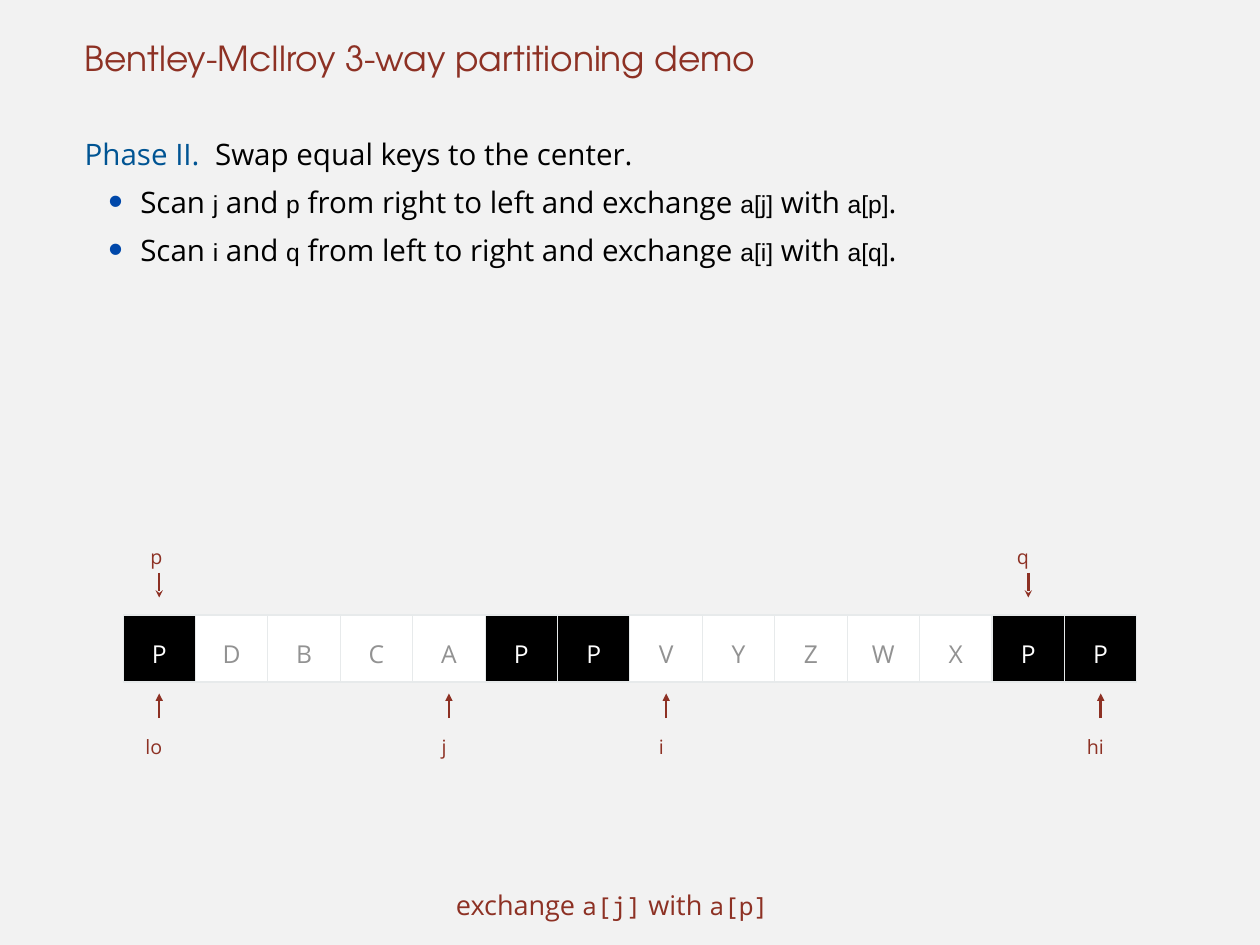
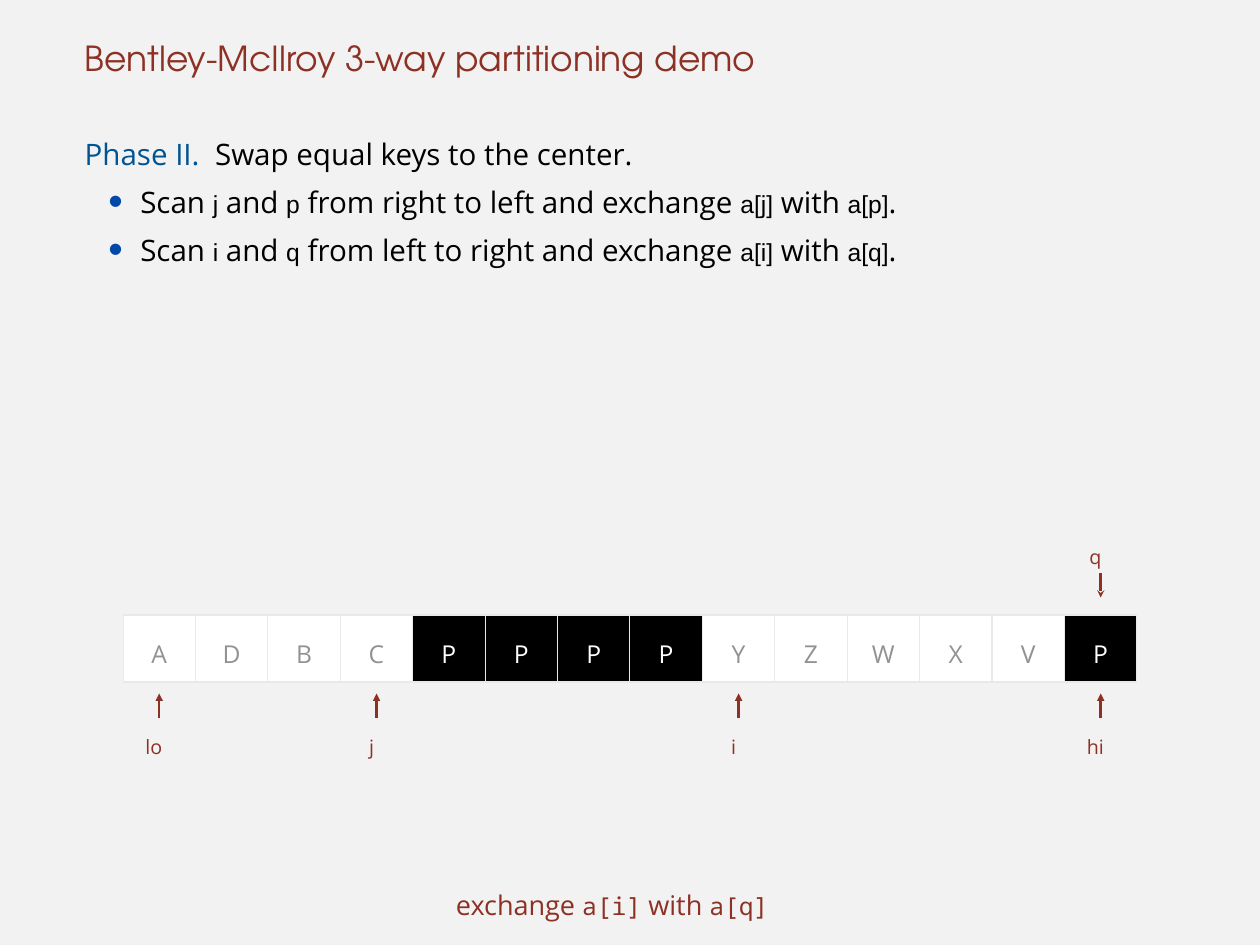
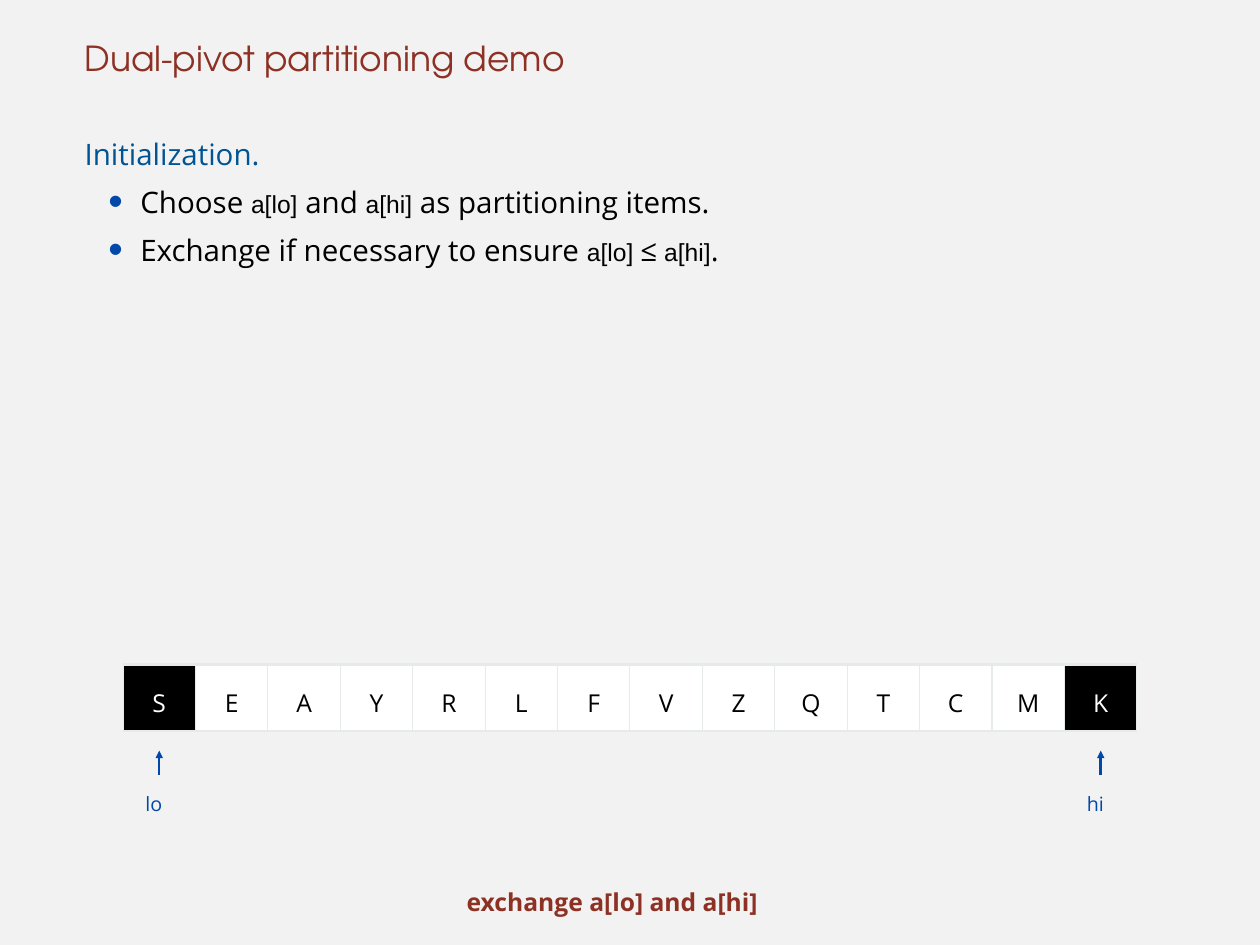
import pptx
import pptx.dml.color
import pptx.enum.shapes
import pptx.enum.text
import pptx.oxml.ns
import pptx.util
from lxml import etree

# The slide is a grid of 128 columns by 96 rows, each 8 pt wide and high.
COLUMNS, ROWS = 128, 96
MARGIN, CONTENT_WIDTH = 8, 112
INDENT = 0.6

BACKGROUND, RULE = "F2F2F2", "E7EAEB"
BLACK, WHITE, GREY = "000000", "FFFFFF", "929292"
RED, BLUE, LEAD_BLUE = "8D3124", "0048AA", "005493"
SANS, CODE, MONO, DISPLAY = "Open Sans", "Arial", "Noto Sans Mono", "TeX Gyre Adventor"

ARRAY_LEFT, ARRAY_WIDTH, ARRAY_HEIGHT = 12.5, 103, 6.75
ARROW_LENGTH = 2.5
LABEL_SHIFT = {"lo": 2, "hi": 2, "i": 1.35, "j": 1.35, "p": 1.5, "q": 1.75}


def grid(*steps):
    return [pptx.util.Pt(8 * step) for step in steps]


def color(value):
    return pptx.dml.color.RGBColor.from_string(value)


def add_xml(parent, tag, **attributes):
    values = {key: str(value) for key, value in attributes.items()}
    return etree.SubElement(parent, pptx.oxml.ns.qn(tag), values)


def style(run, size, ink, font=SANS, bold=False):
    run.font.size = pptx.util.Pt(size)
    run.font.name = font
    run.font.bold = bold
    run.font.color.rgb = color(ink)


def set_paragraph(paragraph, spacing, left=INDENT, hanging=0, align="LEFT"):
    paragraph.alignment = pptx.enum.text.PP_ALIGN[align]
    paragraph.line_spacing = spacing
    properties = paragraph._p.get_or_add_pPr()
    margin, first = grid(left, -hanging)
    properties.set("marL", str(margin))
    properties.set("indent", str(first))
    return properties


def set_frame(frame, anchor="TOP", inset=0):
    frame.word_wrap = True
    frame.auto_size = pptx.enum.text.MSO_AUTO_SIZE.NONE
    frame.vertical_anchor = pptx.enum.text.MSO_ANCHOR[anchor]
    frame.margin_left, frame.margin_top, frame.margin_right, frame.margin_bottom = grid(*[inset] * 4)


def text_box(slide, *box):
    frame = slide.shapes.add_textbox(*grid(*box)).text_frame
    set_frame(frame)
    return frame


def add_mixed(paragraph, text, size, ink, code_font):
    """Fill the paragraph, setting the parts between backticks in the code font."""
    for index, part in enumerate(text.split("`")):
        if part:
            run = paragraph.add_run()
            run.text = part
            is_code = index % 2
            style(run, 20 if is_code else size, ink, code_font if is_code else SANS)


def add_wide_space(paragraph):
    gap = paragraph.add_run()
    gap.text = " "
    style(gap, 24, LEAD_BLUE)
    gap.font._element.set("spc", "630")


def place_title(slide, text):
    title = slide.shapes.title
    title.left, title.top, title.width, title.height = grid(MARGIN, 0, CONTENT_WIDTH, 8)
    title.text_frame.text = text
    set_frame(title.text_frame, "BOTTOM")
    paragraph = title.text_frame.paragraphs[0]
    set_paragraph(paragraph, pptx.util.Pt(59))
    style(paragraph.runs[0], 28, RED, DISPLAY)


def place_steps(slide, lead, statement, steps):
    frame = text_box(slide, MARGIN, 12.5, CONTENT_WIDTH, 80)
    line = pptx.util.Pt(39)
    heading = frame.paragraphs[0]
    heading.text = lead
    set_paragraph(heading, line)
    style(heading.runs[0], 24, LEAD_BLUE)
    if statement:
        add_wide_space(heading)
        add_mixed(heading, statement, 24, BLACK, CODE)
    for step in steps:
        paragraph = frame.add_paragraph()
        properties = set_paragraph(paragraph, line, left=6.25, hanging=3.25)
        add_xml(add_xml(properties, "a:buClr"), "a:srgbClr", val=BLUE)
        add_xml(properties, "a:buSzPct", val=140000)
        add_xml(properties, "a:buFont", typeface=CODE)
        add_xml(properties, "a:buChar", char="•")
        add_mixed(paragraph, step, 24, BLACK, CODE)


def border_cell(cell):
    properties = cell._tc.get_or_add_tcPr()
    for side, width in {"a:lnL": 1, "a:lnR": 1, "a:lnT": 2, "a:lnB": 2}.items():
        edge = add_xml(properties, side, w=pptx.util.Pt(width))
        add_xml(add_xml(edge, "a:solidFill"), "a:srgbClr", val=RULE)


def place_array(slide, top, keys, pivots, ink):
    box = grid(ARRAY_LEFT, top, ARRAY_WIDTH, ARRAY_HEIGHT)
    table = slide.shapes.add_table(1, len(keys), *box).table
    table.first_row = table.horz_banding = False
    for index, key in enumerate(keys):
        is_pivot = index in pivots
        cell = table.cell(0, index)
        cell.text = key
        cell.vertical_anchor = pptx.enum.text.MSO_ANCHOR.MIDDLE
        cell.margin_left, cell.margin_top, cell.margin_right, cell.margin_bottom = grid(*[0.5] * 4)
        border_cell(cell)
        cell.fill.solid()
        cell.fill.fore_color.rgb = color(BLACK if is_pivot else WHITE)
        paragraph = cell.text_frame.paragraphs[0]
        set_paragraph(paragraph, 1.3, left=0, align="CENTER")
        style(paragraph.runs[0], 20, WHITE if is_pivot else ink)


def place_arrow(slide, x, start, end, ink, head):
    arrow = slide.shapes.add_connector(
        pptx.enum.shapes.MSO_CONNECTOR.STRAIGHT, *grid(x, start, x, end))
    arrow.line.width = pptx.util.Pt(2)
    arrow.line.color.rgb = color(ink)
    add_xml(arrow.line._get_or_add_ln(), "a:tailEnd", type=head)
    add_xml(arrow._element.spPr, "a:effectLst")


def place_pointer(slide, name, x, array_top, gap, ink):
    """Label a cell centred at x: p and q from above, the others from below."""
    if name in "pq":
        end = array_top - 1.8
        start = end - ARROW_LENGTH
        label_top, head = start - 4, "stealth"
    else:
        end = array_top + ARRAY_HEIGHT + gap
        start = end + ARROW_LENGTH
        label_top, head = start + 0.5, "triangle"
    place_arrow(slide, x, start, end, ink, head)
    frame = text_box(slide, x - LABEL_SHIFT[name], label_top, 3.5, 3.25)
    frame.text = name
    set_paragraph(frame.paragraphs[0], 1.5)
    style(frame.paragraphs[0].runs[0], 16, ink)


def place_caption(slide, text, bold):
    paragraph = text_box(slide, 6, 88.6, 111.8, 4.2).paragraphs[0]
    set_paragraph(paragraph, 1.5, align="CENTER")
    if bold:
        paragraph.text = text
        style(paragraph.runs[0], 20, RED, bold=True)
    else:
        add_mixed(paragraph, text, 22, RED, MONO)


def demo_slide(deck, title, lead, statement, steps, keys, pivots, pointers, caption,
               top=62.5, gap=1.2, key_ink=GREY, pointer_ink=RED, bold_caption=False):
    slide = deck.slides.add_slide(deck.slide_layouts.get_by_name("Title Only"))
    place_title(slide, title)
    place_steps(slide, lead, statement, steps)
    place_array(slide, top, keys, pivots, key_ink)
    cell_width = ARRAY_WIDTH / len(keys)
    for name, index in pointers.items():
        x = ARRAY_LEFT + (index + 0.5) * cell_width
        place_pointer(slide, name, x, top, gap, pointer_ink)
    place_caption(slide, caption, bold_caption)


def main():
    deck = pptx.Presentation()
    deck.slide_width, deck.slide_height = grid(COLUMNS, ROWS)
    background = deck.slide_master.background.fill
    background.solid()
    background.fore_color.rgb = color(BACKGROUND)

    three_way = dict(
        title="Bentley-McIlroy 3-way partitioning demo",
        lead="Phase II.",
        statement="Swap equal keys to the center.",
        steps=["Scan `j` and `p` from right to left and exchange `a[j]` with `a[p]`.",
               "Scan `i` and `q` from left to right and exchange `a[i]` with `a[q]`."])
    demo_slide(deck, **three_way, keys="PDBCAPPVYZWXPP", pivots={0, 5, 6, 12, 13},
               pointers={"lo": 0, "i": 7, "j": 4, "p": 0, "q": 12, "hi": 13},
               caption="exchange `a[j]` with `a[p]`")
    demo_slide(deck, **three_way, keys="ADBCPPPPYZWXVP", pivots={4, 5, 6, 7, 13},
               pointers={"lo": 0, "i": 8, "j": 3, "q": 13, "hi": 13},
               caption="exchange `a[i]` with `a[q]`")
    demo_slide(deck, "Dual-pivot partitioning demo", "Initialization.", "",
               ["Choose `a[lo]` and `a[hi]` as partitioning items.",
                "Exchange if necessary to ensure `a[lo] `≤` a[hi]`."],
               keys="SEAYRLFVZQTCMK", pivots={0, 13}, pointers={"lo": 0, "hi": 13},
               caption="exchange a[lo] and a[hi]", top=67.5, gap=2,
               key_ink=BLACK, pointer_ink=BLUE, bold_caption=True)
    deck.save("out.pptx")


if __name__ == "__main__":
    main()
